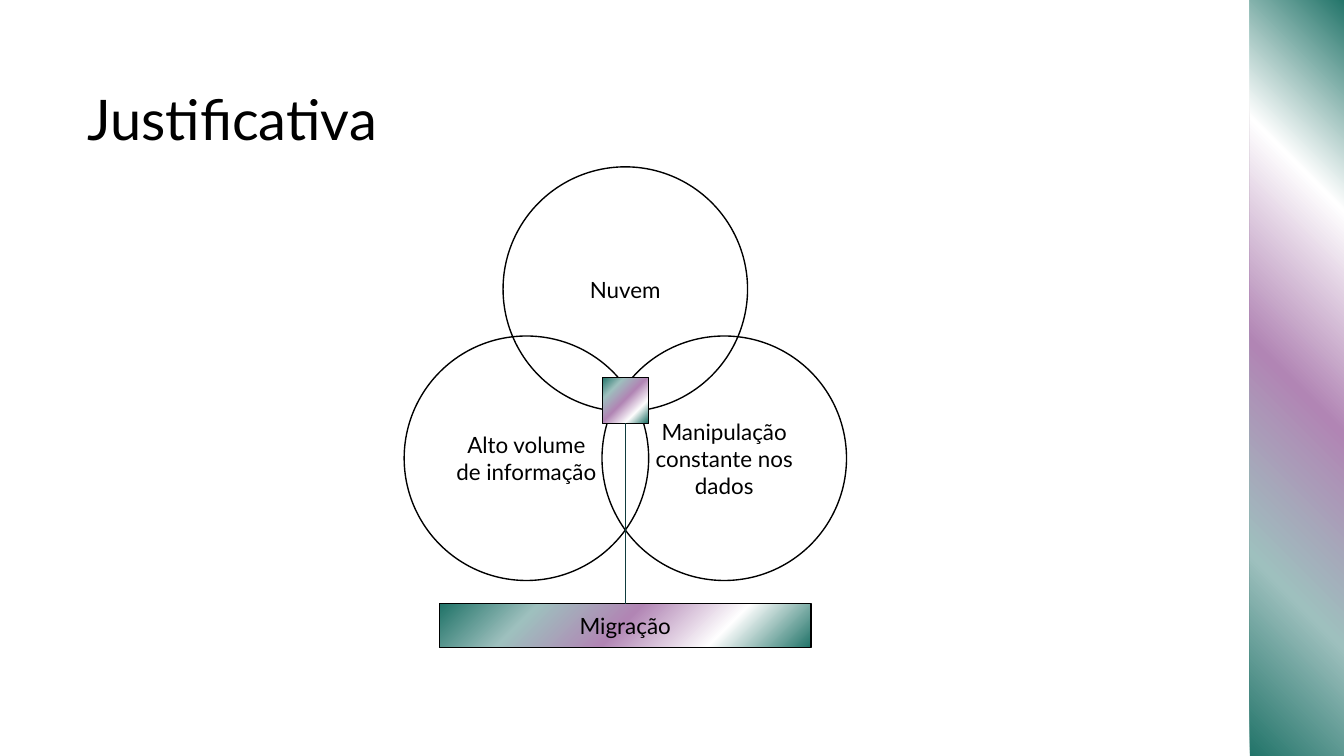
from lxml import etree
from pptx import Presentation
from pptx.dml.color import RGBColor
from pptx.enum.shapes import MSO_CONNECTOR, MSO_SHAPE
from pptx.enum.text import MSO_ANCHOR, MSO_AUTO_SIZE, PP_ALIGN
from pptx.oxml.ns import qn
from pptx.util import Pt

RECT, OVAL = MSO_SHAPE.RECTANGLE, MSO_SHAPE.OVAL
STRAIGHT = MSO_CONNECTOR.STRAIGHT
TOP, MIDDLE = MSO_ANCHOR.TOP, MSO_ANCHOR.MIDDLE
LEFT, CENTER = PP_ALIGN.LEFT, PP_ALIGN.CENTER
NO_FIT = MSO_AUTO_SIZE.NONE

FONT = "Lato"
BLACK = "000000"
STOPS = [(0, "207368"), (24, "9EC0BE"), (49, "B185B4"), (75, "FFFFFF"), (100, "207368")]
AXIS = 335
DIAMETER = 131


def rgb(value):
    """Return the colour for a hex string."""
    return RGBColor.from_string(value)


def set_text(sp, text, size=12, color=BLACK, align=CENTER, anchor=MIDDLE, inset=7.2):
    """Write one formatted paragraph into a shape."""
    tf = sp.text_frame
    tf.word_wrap = True
    tf.auto_size = NO_FIT
    tf.vertical_anchor = anchor
    tf.margin_left = tf.margin_right = Pt(7.2)
    tf.margin_top = tf.margin_bottom = Pt(inset)
    p = tf.paragraphs[0]
    p.alignment = align
    r = p.add_run()
    r.text = text
    r.font.name = FONT
    r.font.size = Pt(size)
    r.font.color.rgb = rgb(color)


def fill_gradient(sp):
    """Fill a shape with the diagonal theme gradient."""
    sp.fill.gradient()
    grad = sp._element.spPr.find(qn("a:gradFill"))
    for child in list(grad):
        grad.remove(child)
    stops = etree.SubElement(grad, qn("a:gsLst"))
    for pos, color in STOPS:
        stop = etree.SubElement(stops, qn("a:gs"), pos=str(pos * 1000))
        etree.SubElement(stop, qn("a:srgbClr"), val=color)
    etree.SubElement(grad, qn("a:lin"), ang=str(45 * 60000), scaled="0")


def add_shape(s, kind, x, y, w, h, outlined=True):
    """Add an unfilled shape, with or without a thin black outline."""
    sp = s.shapes.add_shape(kind, Pt(x), Pt(y), Pt(w), Pt(h))
    sp.shadow.inherit = False
    sp.fill.background()
    if outlined:
        sp.line.color.rgb = rgb(BLACK)
        sp.line.width = Pt(0.75)
    else:
        sp.line.fill.background()
    return sp


def add_sidebar(s):
    """Add the gradient band on the right edge, turned and mirrored."""
    sp = add_shape(s, RECT, 669.6, -2, 50.4, 409, outlined=False)
    fill_gradient(sp)
    sp.rotation = 180
    sp._element.spPr.find(qn("a:xfrm")).set("flipH", "1")


def add_title(s, text):
    """Place and write the slide title."""
    sp = s.shapes.title
    sp.left, sp.top, sp.width, sp.height = Pt(39.6), Pt(38.2), Pt(607), Pt(45.4)
    set_text(sp, text, size=30, align=LEFT, anchor=TOP)


def add_circle(s, text, offset, y):
    """Add a labelled circle at an offset from the diagram's axis."""
    sp = add_shape(s, OVAL, AXIS + offset - DIAMETER / 2, y, DIAMETER, DIAMETER)
    set_text(sp, text)


def add_gradient_box(s, y, w, h):
    """Add an outlined gradient rectangle centred on the axis."""
    sp = add_shape(s, RECT, AXIS - w / 2, y, w, h)
    fill_gradient(sp)
    return sp


def add_link(s, upper, lower):
    """Join the bottom of one box to the top of another."""
    line = s.shapes.add_connector(STRAIGHT, 0, 0, 0, 0)
    line.begin_connect(upper, 2)
    line.end_connect(lower, 0)
    line.line.color.rgb = rgb("0F3D3E")
    line.line.width = Pt(0.75)
    etree.SubElement(line._element.spPr, qn("a:effectLst"))


def main():
    """Build the slide and save it."""
    prs = Presentation()
    prs.slide_width, prs.slide_height = Pt(720), Pt(405)
    s = prs.slides.add_slide(prs.slide_layouts[5])
    add_sidebar(s)
    add_title(s, "Justificativa")
    for text, offset, y in [
        ("Nuvem", 0, 89.4),
        ("Manipulação constante nos dados", 53, 180),
        ("Alto volume de informação", -53, 180),
    ]:
        add_circle(s, text, offset, y)
    overlap = add_gradient_box(s, 202.2, 24.6, 24.6)
    result = add_gradient_box(s, 323.4, 199, 23.6)
    set_text(result, "Migração", inset=3.6)
    add_link(s, overlap, result)
    prs.save("out.pptx")


if __name__ == "__main__":
    main()
